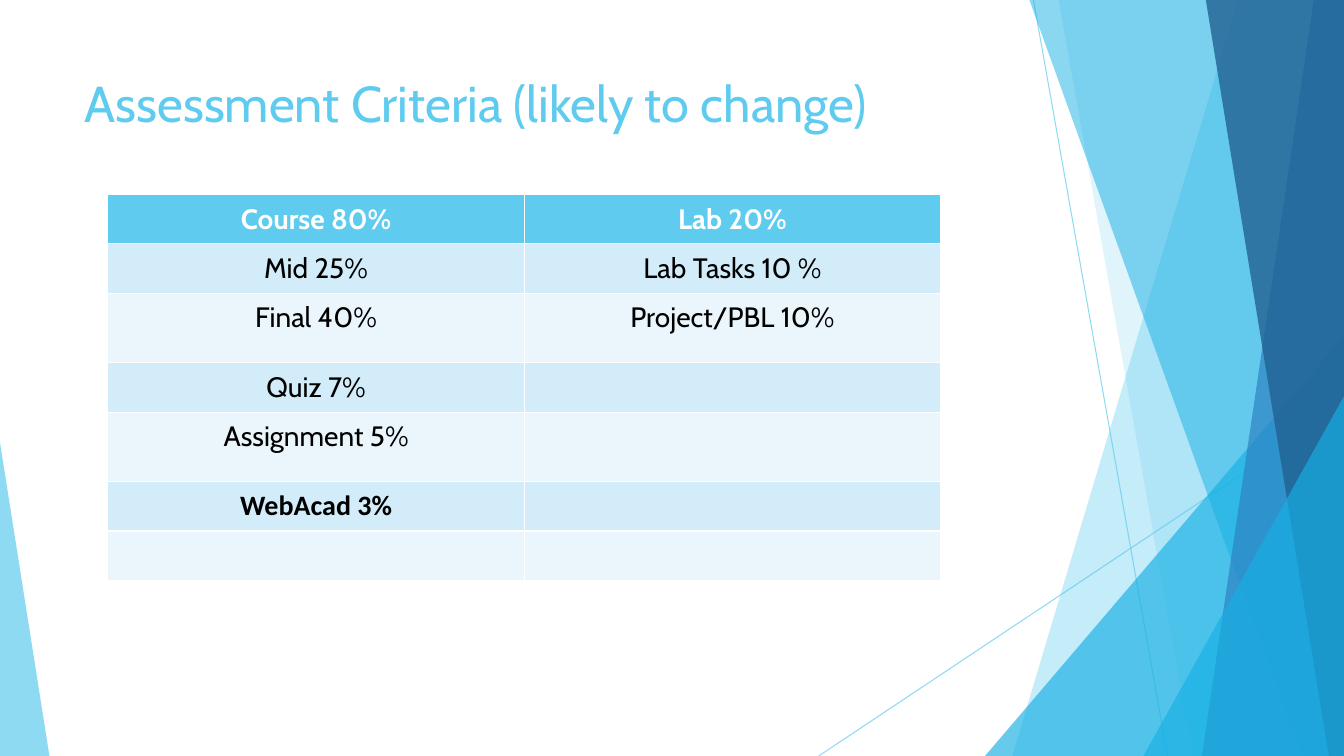
from lxml.etree import SubElement
from pptx import Presentation
from pptx.dml.color import RGBColor
from pptx.enum.shapes import MSO_CONNECTOR, MSO_SHAPE
from pptx.enum.text import MSO_ANCHOR, PP_ALIGN
from pptx.oxml.ns import qn
from pptx.util import Inches, Pt

WIDTH, HEIGHT = 13.33, 7.5
COLORS = {
    "sky": "5FCBEF", "cyan": "17B0E4", "blue": "2E83C3", "navy": "226292",
    "white": "FFFFFF", "black": "000000", "band": "D2ECF9", "pale": "EAF6FC",
}
FONT = "Cabin"
ROWS = [
    ("Course 80%", "Lab 20%"),
    ("Mid 25%", "Lab Tasks 10 %"),
    ("Final 40%", "Project/PBL 10%"),
    ("Quiz 7%", ""),
    ("Assignment 5%", ""),
    ("WebAcad 3%", ""),
    ("", ""),
]
TALL_ROWS = (2, 4)
COURSE_ROW = 5  # set in bold Calibri

# Facets, back to front: left edge at the top, left edge at the bottom, colour, opacity
BACK_FACETS = [(12.28, 10.04, "sky", 36), (10.5, 11.83, "sky", 20)]
FRONT_FACETS = [(10.21, 12.91, "cyan", 50), (13.03, 11.92, "blue", 70),
                (11.96, 13.18, "navy", 80)]


def rgb(name):
    return RGBColor.from_string(COLORS[name])


def set_opacity(fill_parent, percent):
    color = next(fill_parent.iter(qn("a:srgbClr")))
    SubElement(color, qn("a:alpha"), val=str(percent * 1000))


def paint(shape, color, opacity):
    shape.shadow.inherit = False
    shape.fill.solid()
    shape.fill.fore_color.rgb = rgb(color)
    set_opacity(shape._element.spPr, opacity)
    shape.line.fill.background()


def add_ray(page, start, end):
    ray = page.shapes.add_connector(
        MSO_CONNECTOR.STRAIGHT, *(Inches(value) for value in start + end))
    ray.line.width = Pt(0.75)
    ray.line.color.rgb = rgb("sky")
    set_opacity(ray.line._ln, 70)
    SubElement(ray._element.spPr, qn("a:effectLst"))


def add_facet(page, top_left, bottom_left, color, opacity):
    """A full-height panel that runs to the right edge of the slide."""
    outline = page.shapes.build_freeform(Inches(top_left), 0, scale=1.0)
    corners = [(WIDTH, 0), (WIDTH, HEIGHT), (bottom_left, HEIGHT)]
    outline.add_line_segments(
        [(Inches(x), Inches(y)) for x, y in corners], close=True)
    paint(outline.convert_to_shape(), color, opacity)


def add_corner(page, left, top, width, apex, color, opacity):
    """A triangle standing on the bottom edge of the slide."""
    corner = page.shapes.add_shape(
        MSO_SHAPE.ISOSCELES_TRIANGLE, Inches(left), Inches(top),
        Inches(width), Inches(HEIGHT - top))
    corner.adjustments[0] = apex
    paint(corner, color, opacity)


def add_backdrop(page):
    add_ray(page, (10.25, 0), (11.58, HEIGHT))
    add_ray(page, (WIDTH, 4.03), (8.12, HEIGHT))
    for facet in BACK_FACETS:
        add_facet(page, *facet)
    add_corner(page, 9.77, 3.33, 3.56, 1, "cyan", 66)
    for facet in FRONT_FACETS:
        add_facet(page, *facet)
    add_corner(page, 11.34, 3.93, 1.99, 1, "cyan", 66)
    add_corner(page, 0, 4.39, 0.49, 0, "sky", 70)


def add_title(page, text, left, top, width, height):
    title = page.shapes.title
    title.left, title.top = Inches(left), Inches(top)
    title.width, title.height = Inches(width), Inches(height)
    frame = title.text_frame
    frame.text = text
    frame.word_wrap = True
    frame.vertical_anchor = MSO_ANCHOR.TOP
    para = frame.paragraphs[0]
    para.alignment = PP_ALIGN.LEFT
    para.font.name, para.font.size = FONT, Pt(36)
    para.font.color.rgb = rgb("sky")


def fill_cell(cell, text, row):
    header = row == 0
    cell.fill.solid()
    cell.fill.fore_color.rgb = rgb(
        "sky" if header else "band" if row % 2 else "pale")
    if not text:
        return
    cell.text = text
    para = cell.text_frame.paragraphs[0]
    para.alignment = PP_ALIGN.CENTER
    para.line_spacing, para.space_after = 1.07, Pt(8)
    para.font.name = "Calibri" if row == COURSE_ROW else FONT
    para.font.size = Pt(20)
    para.font.bold = row in (0, COURSE_ROW)
    para.font.color.rgb = rgb("white" if header else "black")


def add_criteria_table(page, left, top, width, row_height, tall_height):
    heights = [tall_height if row in TALL_ROWS else row_height
               for row in range(len(ROWS))]
    table = page.shapes.add_table(
        len(ROWS), len(ROWS[0]), Inches(left), Inches(top),
        Inches(width), Inches(sum(heights))).table
    for row, (texts, height) in enumerate(zip(ROWS, heights)):
        table.rows[row].height = Inches(height)
        for column, text in enumerate(texts):
            fill_cell(table.cell(row, column), text, row)


def main():
    deck = Presentation()
    deck.slide_width, deck.slide_height = Inches(WIDTH), Inches(HEIGHT)
    page = deck.slides.add_slide(deck.slide_layouts[5])
    add_backdrop(page)
    add_title(page, "Assessment Criteria (likely to change)", 0.74, 0.67, 9.4, 1.44)
    add_criteria_table(page, 1.07, 1.93, 8.26, 0.49, 0.69)
    deck.save("out.pptx")


if __name__ == "__main__":
    main()
